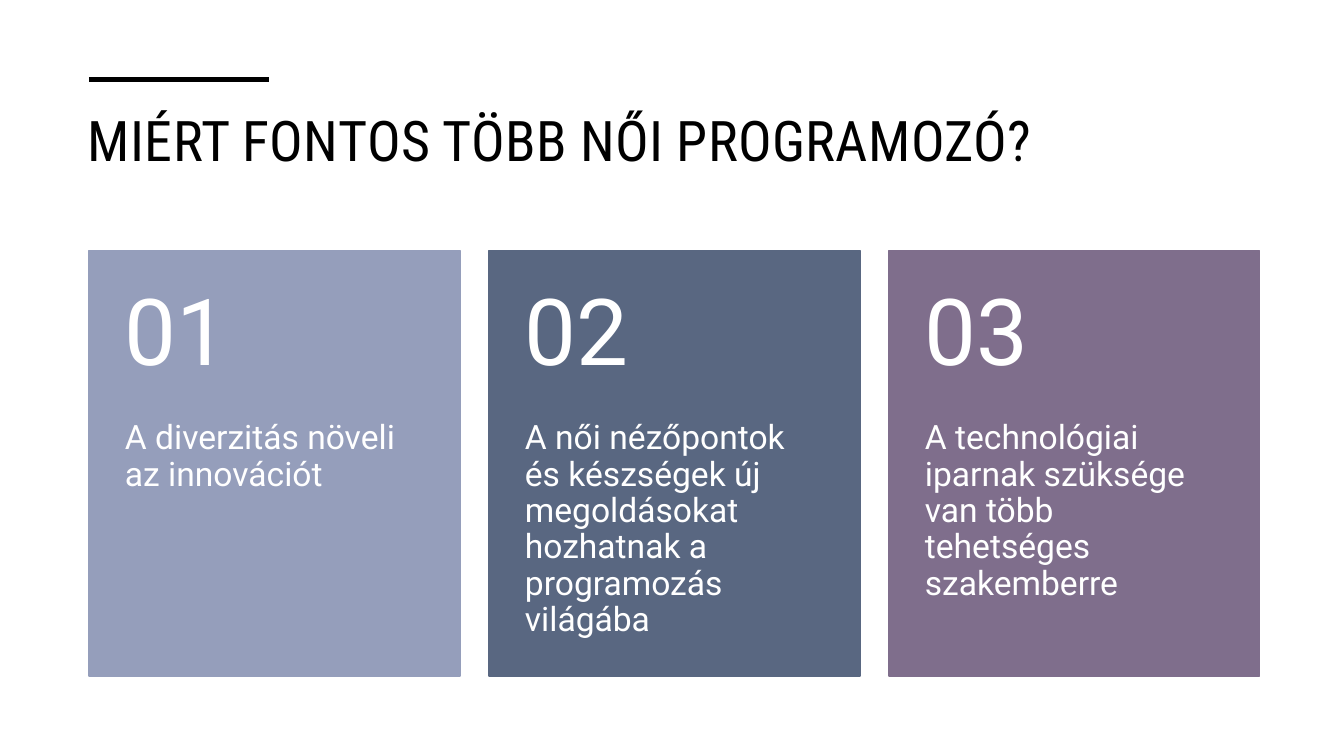
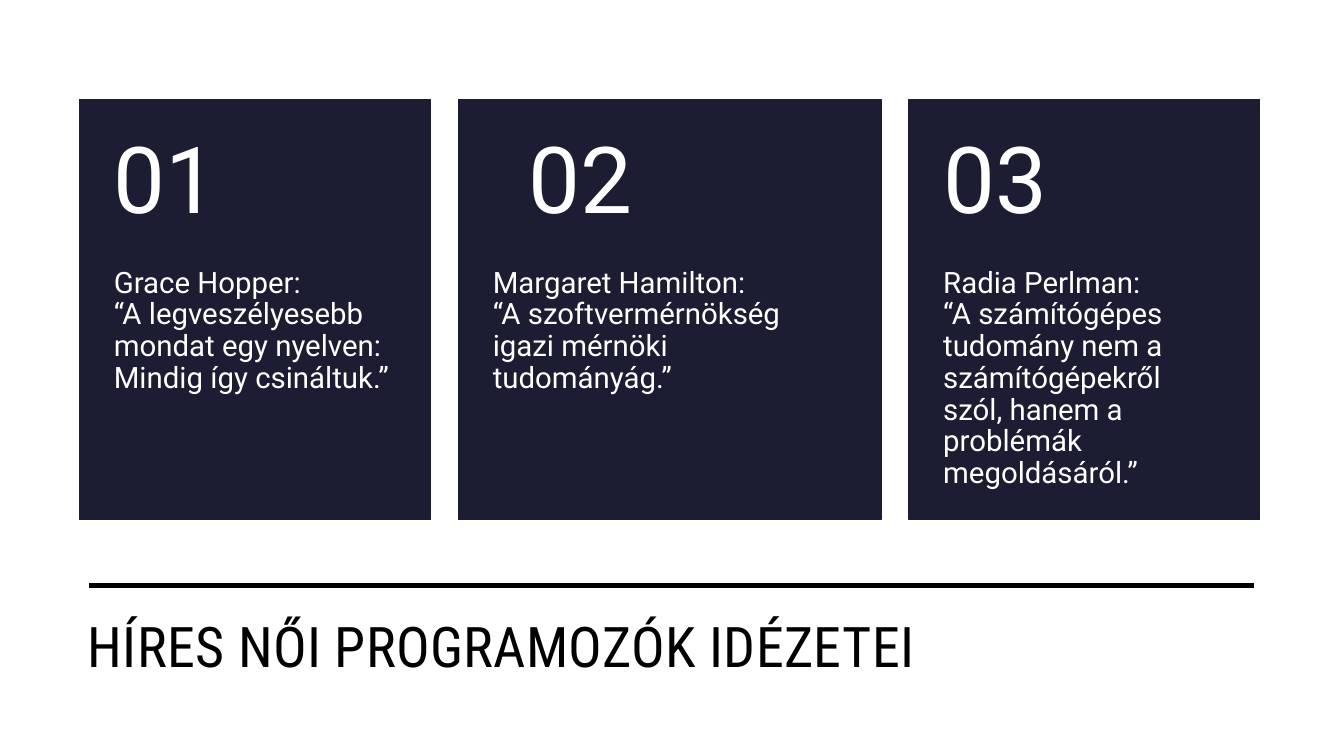
from pptx import Presentation
from pptx.dml.color import RGBColor
from pptx.enum.shapes import MSO_CONNECTOR, MSO_SHAPE
from pptx.enum.text import MSO_ANCHOR, MSO_AUTO_SIZE, PP_ALIGN
from pptx.oxml.ns import qn
from pptx.util import Cm, Pt
from lxml import etree

BLACK = RGBColor(0x00, 0x00, 0x00)
WHITE = RGBColor(0xFF, 0xFF, 0xFF)
LAVENDER = RGBColor(0x95, 0x9E, 0xBB)
SLATE = RGBColor(0x59, 0x67, 0x81)
PLUM = RGBColor(0x7F, 0x6E, 0x8C)
NAVY = RGBColor(0x1C, 0x1C, 0x32)

NUMBER_SHARE = 0.4  # part of a card's height that holds its number
NUMBER_FORMAT = {"size": Pt(66), "name": "Roboto"}
TITLE_FORMAT = {"size": Pt(40), "name": "Roboto Condensed", "bold": False}

SLIDES = [
    {
        "title": "MIÉRT FONTOS TÖBB NŐI PROGRAMOZÓ?",
        "title_box": (1.96, 2.54, 30, 2.92),
        "rule": (2.24, 6.78, 2.01),
        "left": 2.24, "top": 6.32, "height": 10.72, "gap": 0.73,
        "number_width": 9.35, "inset": 0.91, "text_size": 24,
        "cards": [
            (9.35, LAVENDER, "A diverzitás növeli az innovációt"),
            (9.35, SLATE, "A női nézőpontok és készségek új megoldásokat "
                          "hozhatnak a programozás világába"),
            (9.35, PLUM, "A technológiai iparnak szüksége van több "
                         "tehetséges szakemberre"),
        ],
    },
    {
        "title": "HÍRES NŐI PROGRAMOZÓK IDÉZETEI",
        "title_box": (1.96, 15.27, 29.79, 2.11),
        "rule": (2.24, 31.6, 14.76),
        "left": 2.01, "top": 2.51, "height": 10.59, "gap": 0.71,
        "number_width": 8.84, "inset": 0.86, "text_size": 21,
        "cards": [
            (8.84, NAVY, "Grace Hopper:\n“A legveszélyesebb mondat egy "
                         "nyelven: Mindig így csináltuk.”"),
            (10.64, NAVY, "Margaret Hamilton:\n“A szoftvermérnökség igazi "
                          "mérnöki tudományág.”"),
            (8.84, NAVY, "Radia Perlman:\n“A számítógépes tudomány nem a "
                         "számítógépekről szól, hanem a problémák "
                         "megoldásáról.”"),
        ],
    },
]


def format_text(frame, text, color, font_format, anchor=MSO_ANCHOR.TOP):
    frame.word_wrap = True
    frame.auto_size = MSO_AUTO_SIZE.NONE
    frame.vertical_anchor = anchor
    paragraph = frame.paragraphs[0]
    paragraph.text = text
    paragraph.alignment = PP_ALIGN.LEFT
    for run in paragraph.runs:
        run.font.color.rgb = color
        for attribute, value in font_format.items():
            setattr(run.font, attribute, value)
    return paragraph


def add_card_text(card, box, text, font_format, insets, anchor=MSO_ANCHOR.TOP):
    """Add white text to a card; insets are left, top, right and bottom."""
    frame = card.shapes.add_textbox(*map(Cm, box)).text_frame
    for side, inset in zip(("left", "top", "right", "bottom"), insets):
        setattr(frame, f"margin_{side}", Cm(inset))
    format_text(frame, text, WHITE, font_format, anchor).line_spacing = 0.9


prs = Presentation()
prs.slide_width = Cm(33.87)
prs.slide_height = Cm(19.05)
title_only = prs.slide_layouts[5]

for content in SLIDES:
    slide = prs.slides.add_slide(title_only)

    start, end, height = map(Cm, content["rule"])
    rule = slide.shapes.add_connector(MSO_CONNECTOR.STRAIGHT, start, height, end, height)
    rule.line.color.rgb = BLACK
    rule.line.width = Pt(3.5)
    etree.SubElement(rule._element.spPr, qn("a:effectLst"))

    title = slide.shapes.title
    title.left, title.top, title.width, title.height = map(Cm, content["title_box"])
    heading = format_text(title.text_frame, content["title"], BLACK, TITLE_FORMAT)
    heading.runs[0].font._element.set("spc", "30")

    left, top, height = content["left"], content["top"], content["height"]
    number_width, inset = content["number_width"], content["inset"]
    number_height = height * NUMBER_SHARE
    text_format = {"size": Pt(content["text_size"]), "name": "Roboto"}

    for number, (width, color, text) in enumerate(content["cards"], start=1):
        card = slide.shapes.add_group_shape()
        panel = card.shapes.add_shape(
            MSO_SHAPE.RECTANGLE, *map(Cm, (left, top, width, height)))
        panel.shadow.inherit = False
        panel.fill.solid()
        panel.fill.fore_color.rgb = color
        panel.line.color.rgb = color
        panel.line.width = Pt(1)

        text_box = (left, top + number_height, width, height - number_height)
        add_card_text(card, text_box, text, text_format, (inset, 0, inset, 0.91))

        number_left = left + (width - number_width) / 2
        number_box = (number_left, top, number_width, number_height)
        add_card_text(card, number_box, f"{number:02}", NUMBER_FORMAT,
                      (inset, 0.46, inset, 0.46), MSO_ANCHOR.MIDDLE)
        left += width + content["gap"]

prs.save("out.pptx")
